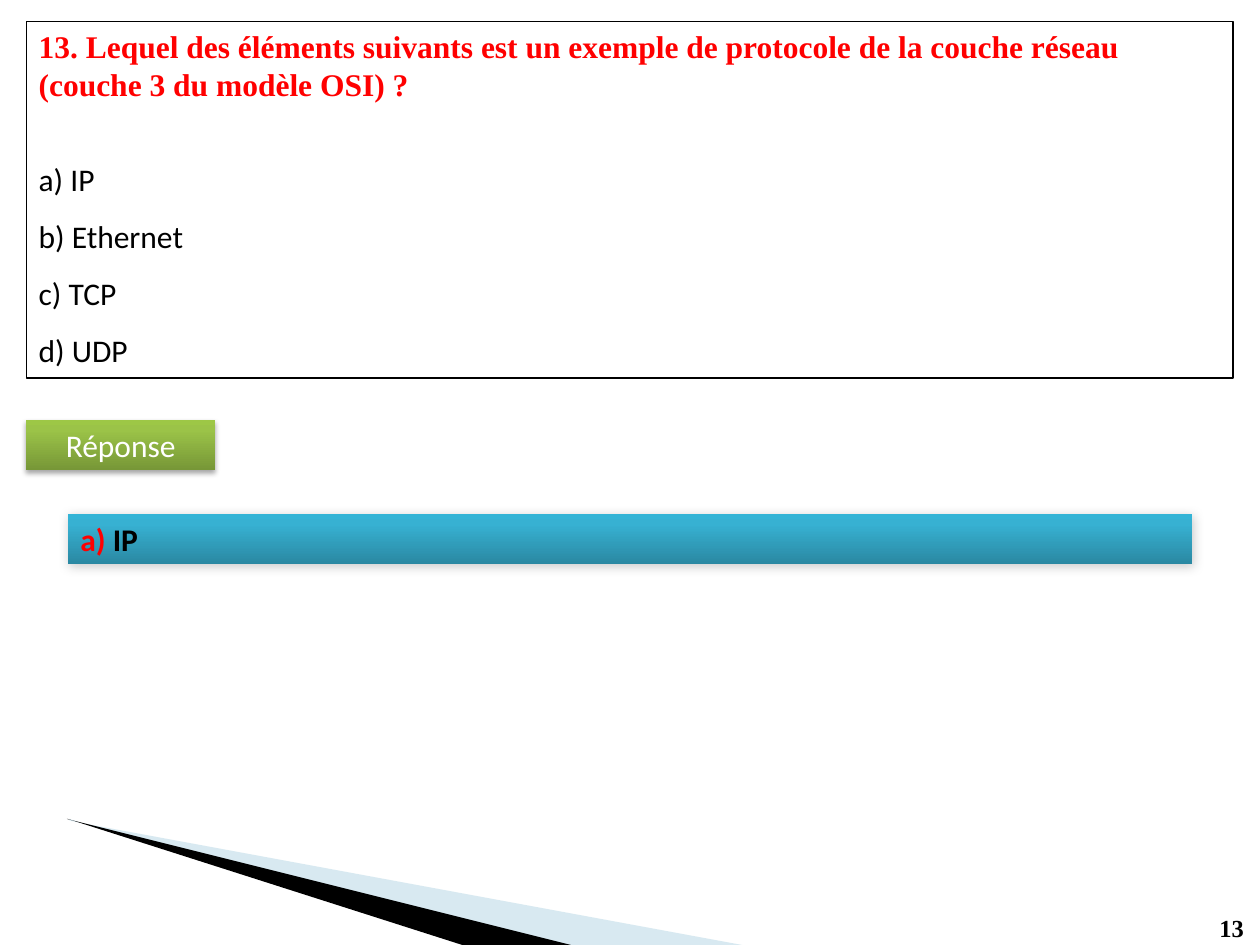
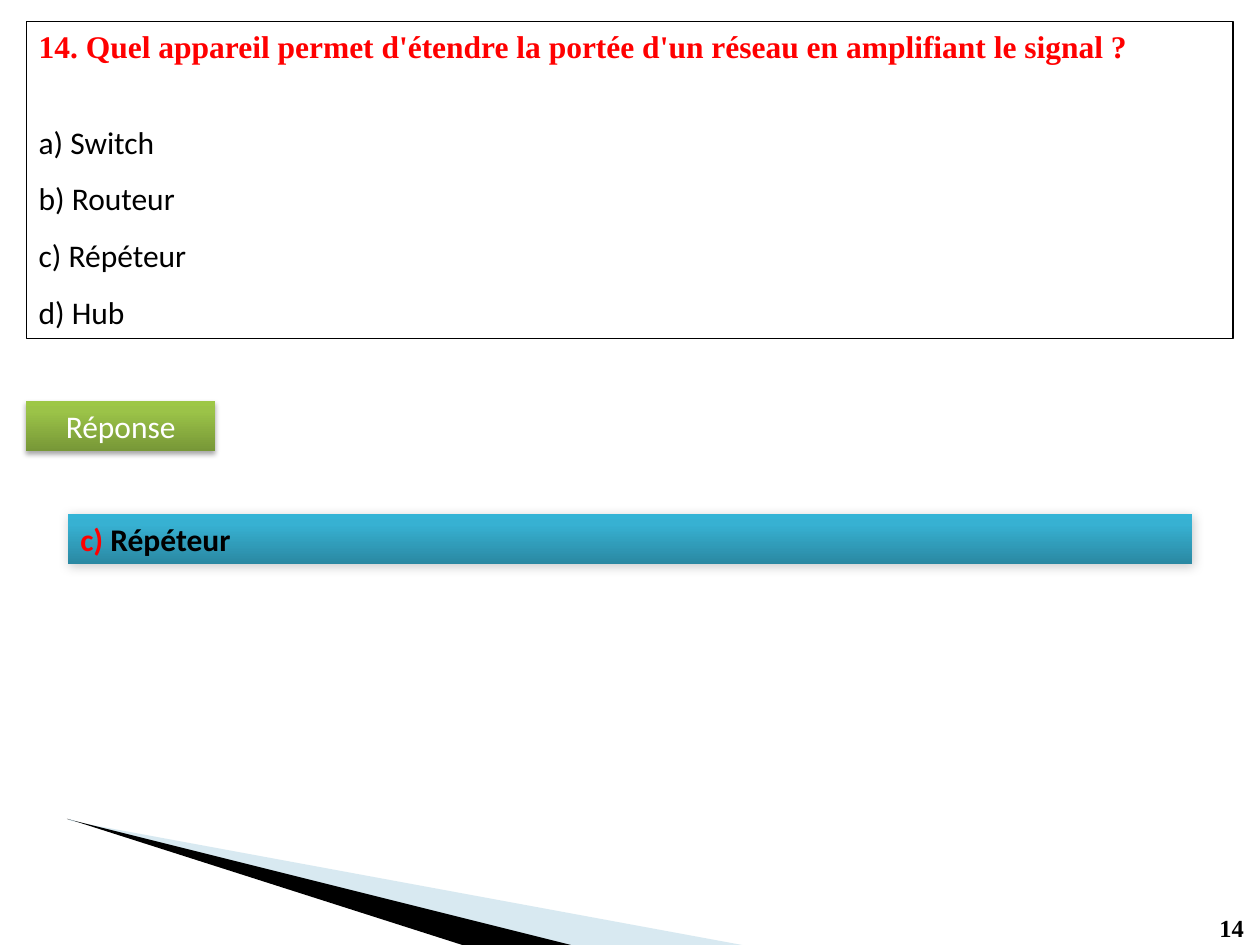
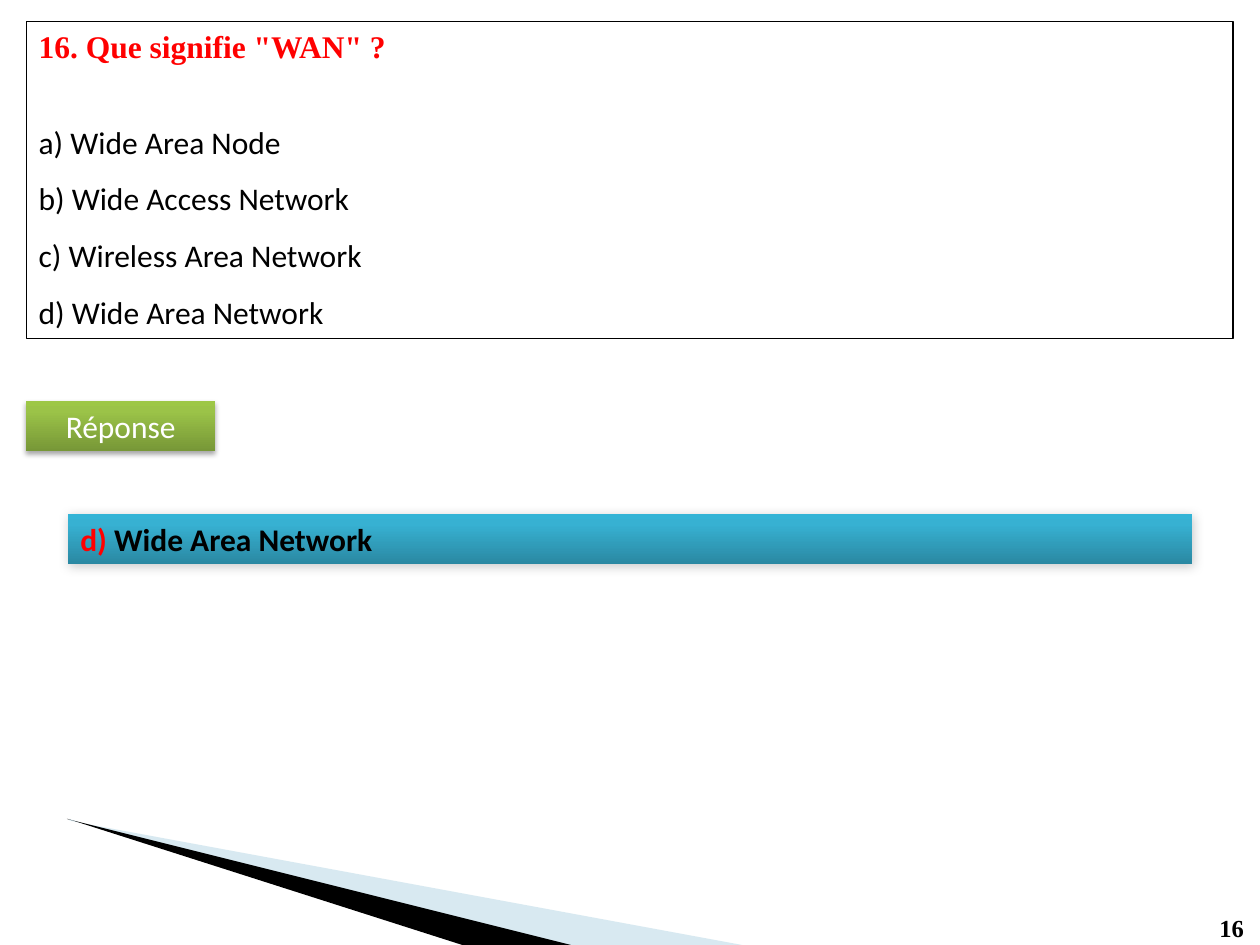
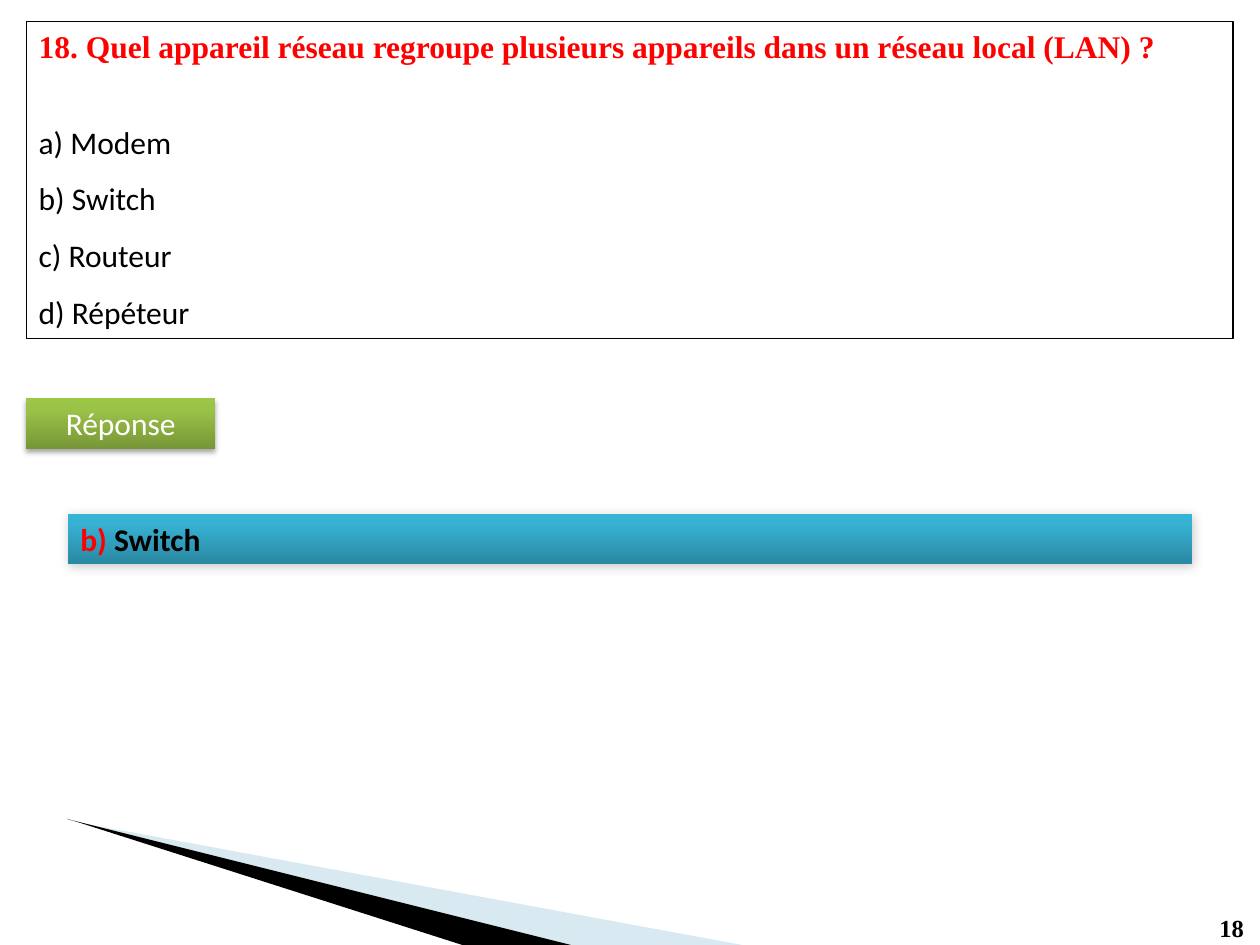
from dataclasses import dataclass

from lxml import etree
from pptx import Presentation
from pptx import util as u
from pptx.dml.color import RGBColor
from pptx.enum import shapes, text
from pptx.oxml.ns import qn

SERIF, SANS = "Times New Roman", "Calibri"
BLACK, WHITE, RED, PALE_BLUE = "000000", "FFFFFF", "FF0000", "9FCADC"
BODY_SIZE, NUMBER_SIZE = 18, 14
MARGIN, BAR_HEIGHT = 0.53, 1.02


@dataclass(frozen=True)
class Box:
    """Position and size in centimetres."""
    left: float
    top: float
    width: float
    height: float

    def lengths(self) -> list[u.Length]:
        return [u.Cm(v) for v in (self.left, self.top, self.width, self.height)]


@dataclass(frozen=True)
class BarStyle:
    """Gradient from bottom to top, and shadow (percent, points, degrees)."""
    stops: tuple[tuple[int, str], ...]
    shadow_alpha: int
    shadow_blur: float
    shadow_distance: float
    shadow_direction: int


@dataclass(frozen=True)
class Question:
    number: int
    wording: str
    options: tuple[str, ...]
    answer: str  # letter of the right option
    box_height: float = 6.4
    label_top: float = 8.08


GREEN_BAR = BarStyle(((0, "779737"), (80, "9BC348"), (100, "9DC746")), 35, 3.1, 1.8, 90)
BLUE_BAR = BarStyle(((0, "2A88A2"), (80, "37B1D2"), (100, "34B4D6")), 20, 6, 1, 45)

QUESTIONS = (
    Question(13, "Lequel des éléments suivants est un exemple de protocole de la couche réseau "
                 "(couche 3 du modèle OSI) ?",
             ("IP", "Ethernet", "TCP", "UDP"), "a", box_height=7.19, label_top=8.46),
    Question(14, "Quel appareil permet d'étendre la portée d'un réseau en amplifiant le signal ?",
             ("Switch", "Routeur", "Répéteur", "Hub"), "c"),
    Question(16, 'Que signifie "WAN" ?',
             ("Wide Area Node", "Wide Access Network", "Wireless Area Network",
              "Wide Area Network"), "d"),
    Question(18, "Quel appareil réseau regroupe plusieurs appareils dans un réseau local (LAN) ?",
             ("Modem", "Switch", "Routeur", "Répéteur"), "b", label_top=8.03),
)

# Corner wedges: outlines of each, in centimetres
PALE_WEDGE = (
    ((1.63, 16.59), (11.46, 19.05), (14.96, 19.05)),
    ((1.4, 16.51), (1.4, 16.54), (1.63, 16.59)),
)
BLACK_WEDGE = (((1.35, 16.51), (1.37, 16.51), (9.32, 19.05), (11.51, 19.05)),)


def color(value: str) -> RGBColor:
    return RGBColor.from_string(value)


def add_run(paragraph, wording: str, font: str, fill: str,
            size: float = BODY_SIZE, bold: bool = False) -> None:
    run = paragraph.add_run()
    run.text = wording
    run.font.name = font
    run.font.size = u.Pt(size)
    run.font.bold = bold
    run.font.color.rgb = color(fill)


def add_color_xml(parent, value: str, alpha: int = 100) -> None:
    node = etree.SubElement(parent, qn("a:srgbClr"), val=value)
    if alpha < 100:
        etree.SubElement(node, qn("a:alpha"), val=str(alpha * 1000))


# Shared background
def draw_wedge(slide, outlines, fill: str, alpha: int = 100):
    contours = [[(u.Cm(x), u.Cm(y)) for x, y in outline] for outline in outlines]
    builder = slide.shapes.build_freeform(*contours[0][0])
    for index, (start, *others) in enumerate(contours):
        if index:
            builder.move_to(*start)
        builder.add_line_segments(others, close=True)
    shape = builder.convert_to_shape()
    shape.shadow.inherit = False
    shape.line.fill.background()
    shape.fill.solid()
    shape.fill.fore_color.rgb = color(fill)
    if alpha < 100:
        solid = shape.element.spPr.find(qn("a:solidFill"))
        solid.clear()
        add_color_xml(solid, fill, alpha)
    return shape


def move_to_layout(layout, decorations) -> None:
    for placeholder in list(layout.placeholders):
        placeholder.element.getparent().remove(placeholder.element)
    tree = layout.shapes.element
    for shape in decorations:
        tree.append(shape.element)


# Slide parts
def add_rectangle(slide, box: Box):
    shape = slide.shapes.add_shape(shapes.MSO_SHAPE.RECTANGLE, *box.lengths())
    shape.shadow.inherit = False
    frame = shape.text_frame
    frame.word_wrap = True
    frame.vertical_anchor = text.MSO_ANCHOR.TOP
    frame.auto_size = text.MSO_AUTO_SIZE.SHAPE_TO_FIT_TEXT
    return shape


def draw_bar(slide, box: Box, style: BarStyle, alignment: text.PP_ALIGN):
    """Draw a gradient bar with a shadow and return its paragraph."""
    shape = add_rectangle(slide, box)
    shape.line.fill.background()
    shape.fill.gradient()
    shape.fill.gradient_angle = 90
    properties = shape.element.spPr

    stop_list = properties.find(".//" + qn("a:gsLst"))
    stop_list.clear()
    for position, value in style.stops:
        stop = etree.SubElement(stop_list, qn("a:gs"), pos=str(position * 1000))
        add_color_xml(stop, value)

    shadow = etree.SubElement(
        properties.find(qn("a:effectLst")), qn("a:outerShdw"),
        blurRad=str(u.Pt(style.shadow_blur)), dist=str(u.Pt(style.shadow_distance)),
        dir=str(style.shadow_direction * 60000), rotWithShape="0")
    add_color_xml(shadow, BLACK, style.shadow_alpha)

    paragraph = shape.text_frame.paragraphs[0]
    paragraph.alignment = alignment
    return paragraph


def draw_page_number(slide, number: int) -> None:
    frame = slide.shapes.add_textbox(*Box(24.33, 18.29, 1.02, 0.86).lengths()).text_frame
    frame.word_wrap = False
    frame.auto_size = text.MSO_AUTO_SIZE.SHAPE_TO_FIT_TEXT
    add_run(frame.paragraphs[0], str(number), SERIF, BLACK, NUMBER_SIZE, bold=True)


def draw_question(slide, question: Question) -> None:
    shape = add_rectangle(slide, Box(MARGIN, 0.43, 24.33, question.box_height))
    shape.fill.background()
    shape.line.color.rgb = color(BLACK)
    shape.line.width = u.Pt(0.75)
    title = shape.text_frame.paragraphs[0]
    title.alignment = text.PP_ALIGN.LEFT
    add_run(title, f"{question.number}. {question.wording}", SERIF, RED, bold=True)
    for letter, option in zip("abcd", question.options):
        paragraph = shape.text_frame.add_paragraph()
        paragraph.alignment = text.PP_ALIGN.LEFT
        paragraph.line_spacing = 1.5
        if letter == "a":
            paragraph.space_before = u.Pt(22)
        add_run(paragraph, f"{letter}) {option}", SANS, BLACK)


def draw_answer(slide, question: Question) -> None:
    label = draw_bar(slide, Box(MARGIN, question.label_top, 3.81, BAR_HEIGHT),
                     GREEN_BAR, text.PP_ALIGN.CENTER)
    add_run(label, "Réponse", SANS, WHITE)
    answer = draw_bar(slide, Box(1.37, 10.36, 22.66, BAR_HEIGHT),
                      BLUE_BAR, text.PP_ALIGN.JUSTIFY)
    add_run(answer, f"{question.answer}) ", SANS, RED, bold=True)
    add_run(answer, question.options["abcd".index(question.answer)], SANS, BLACK, bold=True)


def main() -> None:
    presentation = Presentation()
    presentation.slide_width, presentation.slide_height = u.Cm(25.4), u.Cm(19.05)
    layout = presentation.slide_layouts[6]
    slides = [presentation.slides.add_slide(layout) for _ in QUESTIONS]

    move_to_layout(layout, [draw_wedge(slides[0], PALE_WEDGE, PALE_BLUE, alpha=40),
                            draw_wedge(slides[0], BLACK_WEDGE, BLACK)])

    for slide, question in zip(slides, QUESTIONS):
        draw_page_number(slide, question.number)
        draw_question(slide, question)
        draw_answer(slide, question)
    presentation.save("out.pptx")


if __name__ == "__main__":
    main()
